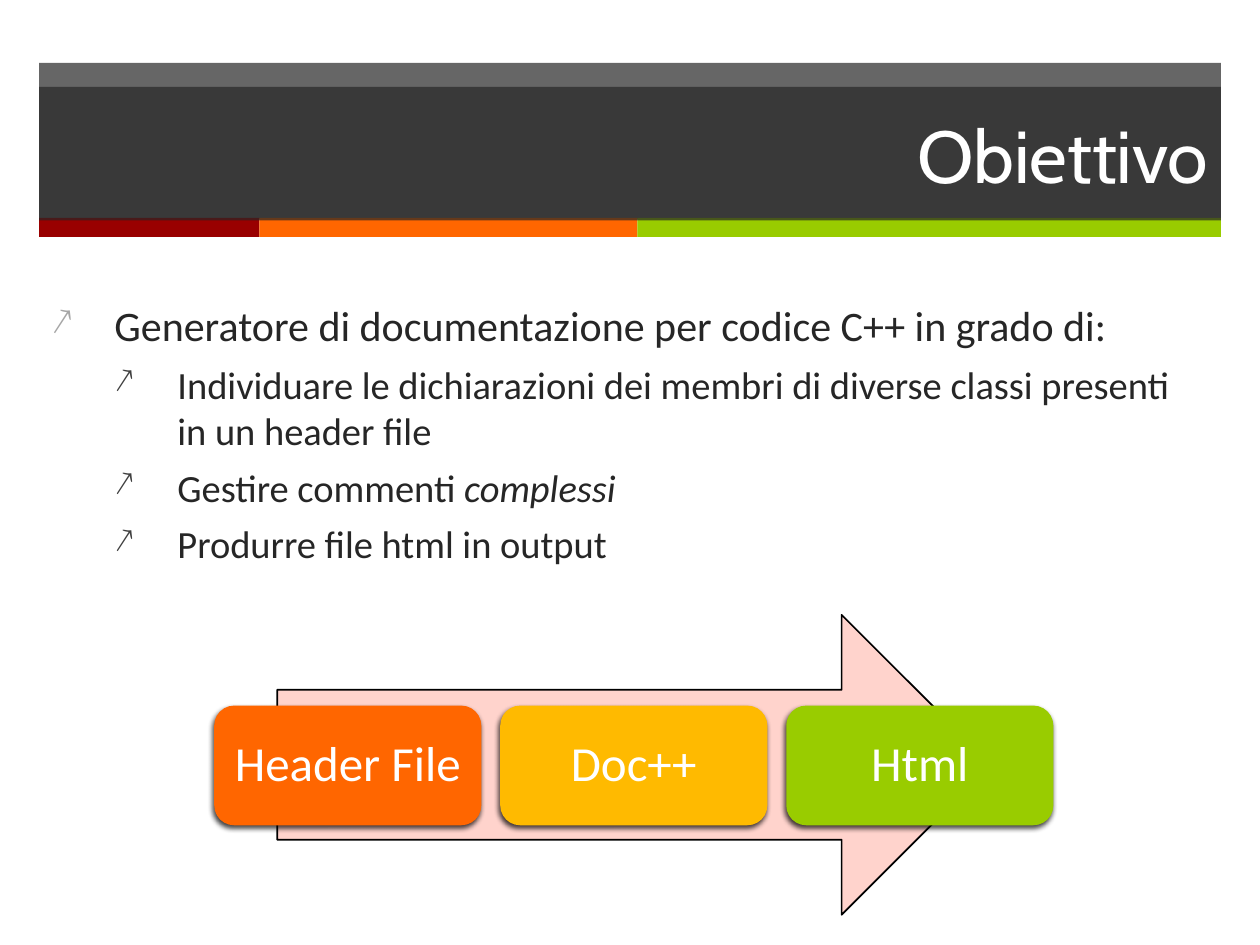
from lxml import etree
from pptx import Presentation
from pptx.dml.color import RGBColor
from pptx.enum import shapes as sh, text as tx
from pptx.oxml import ns
from pptx.util import Inches, Pt

TITLE = "Obiettivo"
DARK, WHITE = "262626", "FFFFFF"
STRIPES = [(1.75, "990000"), (3, "FF6600"), (4.63, "99CC00")]
# level, runs of (text, italic)
BULLETS = [
    (0, [("Generatore di documentazione per codice C++ in grado di:", False)]),
    (1, [("Individuare le dichiarazioni dei membri di diverse classi "
          "presenti in un header file", False)]),
    (1, [("Gestire commenti ", False), ("complessi", True)]),
    (1, [("Produrre file html in output", False)]),
]
LEVELS = [
    dict(size=24, before=20, bullet="A6A6A6"),
    dict(size=22, before=6, bullet="404040"),
]
STEPS = [("Header File", "FF6600"), ("Doc++", "FFBA00"), ("Html", "99CC00")]
LEFT, WIDTH = 0.31, 9.38
STEP_LEFT, STEP_WIDTH, STEP_PITCH = 1.7, 2.12, 2.27


def rgb(color):
    return RGBColor.from_string(color)


def add_xml(parent, tag, **attrs):
    node = etree.SubElement(parent, ns.qn(tag))
    for name, value in attrs.items():
        node.set(name, str(value))
    return node


def paint(shape, color, opacity=100):
    shape.fill.solid()
    shape.fill.fore_color.rgb = rgb(color)
    if opacity < 100:
        fill = shape.fill._xPr.find(ns.qn("a:solidFill"))
        add_xml(fill[0], "a:alpha", val=opacity * 1000)


def add_box(s, kind, at, color, opacity=100):
    shape = s.shapes.add_shape(kind, *map(Inches, at))
    shape.shadow.inherit = False
    shape.line.fill.background()
    paint(shape, color, opacity)
    return shape


def set_frame(tf, anchor, inset=(0.1, 0.05)):
    tf.word_wrap = True
    tf.auto_size = tx.MSO_AUTO_SIZE.NONE
    tf.vertical_anchor = anchor
    tf.margin_left = tf.margin_right = Inches(inset[0])
    tf.margin_top = tf.margin_bottom = Inches(inset[1])


def add_run(p, words, size, color, name="Calibri", italic=False):
    r = p.add_run()
    r.text = words
    r.font.color.rgb = rgb(color)
    for key, value in dict(size=Pt(size), name=name, italic=italic).items():
        setattr(r.font, key, value)


def add_bullet(p, level, color):
    pPr = p._p.get_or_add_pPr()
    pPr.set("marL", str(Inches(0.5 * (level + 1))))
    pPr.set("indent", str(Inches(-0.5)))
    add_xml(add_xml(pPr, "a:buClr"), "a:srgbClr", val=color)
    add_xml(pPr, "a:buSzPct", val=90000)
    add_xml(pPr, "a:buChar", char="↗")


def add_shadow(shape):
    effects = shape._element.spPr.find(ns.qn("a:effectLst"))
    shadow = add_xml(effects, "a:outerShdw", blurRad=Pt(3), dist=Pt(2),
                     dir=110 * 60000, rotWithShape=0)
    add_xml(add_xml(shadow, "a:srgbClr", val="000000"), "a:alpha", val=75000)


def add_header(s):
    rect = sh.MSO_SHAPE.RECTANGLE
    add_box(s, rect, (LEFT, 0.5, WIDTH, 1.24), DARK, 70)
    x = LEFT
    for width, color in STRIPES:
        stripe = add_box(s, rect, (x, 1.73, width, 0.15), color)
        x += width
    title = s.shapes.title
    stripe._element.addnext(title._element)  # title lies over the bands
    title.left, title.top, title.width, title.height = map(
        Inches, (LEFT, 0.69, WIDTH, 1.06))
    paint(title, DARK, 70)
    set_frame(title.text_frame, tx.MSO_ANCHOR.MIDDLE)
    p = title.text_frame.paragraphs[0]
    p.alignment = tx.PP_ALIGN.RIGHT
    add_run(p, TITLE, 42, WHITE, "Cabin")


def add_body(s):
    tf = s.shapes.add_textbox(*map(Inches, (LEFT, 2.33, 9.21, 4.37))).text_frame
    set_frame(tf, tx.MSO_ANCHOR.TOP)
    for i, (level, runs) in enumerate(BULLETS):
        p = tf.add_paragraph() if i else tf.paragraphs[0]
        style = LEVELS[level]
        p.level = level
        p.space_before = Pt(style["before"])
        add_bullet(p, level, style["bullet"])
        for words, italic in runs:
            add_run(p, words, style["size"], DARK, italic=italic)


def add_process(s):
    arrow = add_box(s, sh.MSO_SHAPE.RIGHT_ARROW, (2.2, 4.88, 5.67, 2.38), "FFD3CC")
    arrow.line.color.rgb = rgb("000000")
    arrow.line.width = Pt(1)
    for i, (label, color) in enumerate(STEPS):
        at = (STEP_LEFT + i * STEP_PITCH, 5.6, STEP_WIDTH, 0.95)
        step = add_box(s, sh.MSO_SHAPE.ROUNDED_RECTANGLE, at, color)
        add_shadow(step)
        set_frame(step.text_frame, tx.MSO_ANCHOR.MIDDLE, (0.1, 0.1))
        p = step.text_frame.paragraphs[0]
        p.alignment = tx.PP_ALIGN.CENTER
        p.line_spacing = 0.9
        add_run(p, label, 28, WHITE)


def main():
    prs = Presentation()
    prs.slide_width, prs.slide_height = Inches(10), Inches(7.5)
    s = prs.slides.add_slide(prs.slide_layouts[5])
    add_header(s)
    add_body(s)
    add_process(s)
    prs.save("out.pptx")


if __name__ == "__main__":
    main()
